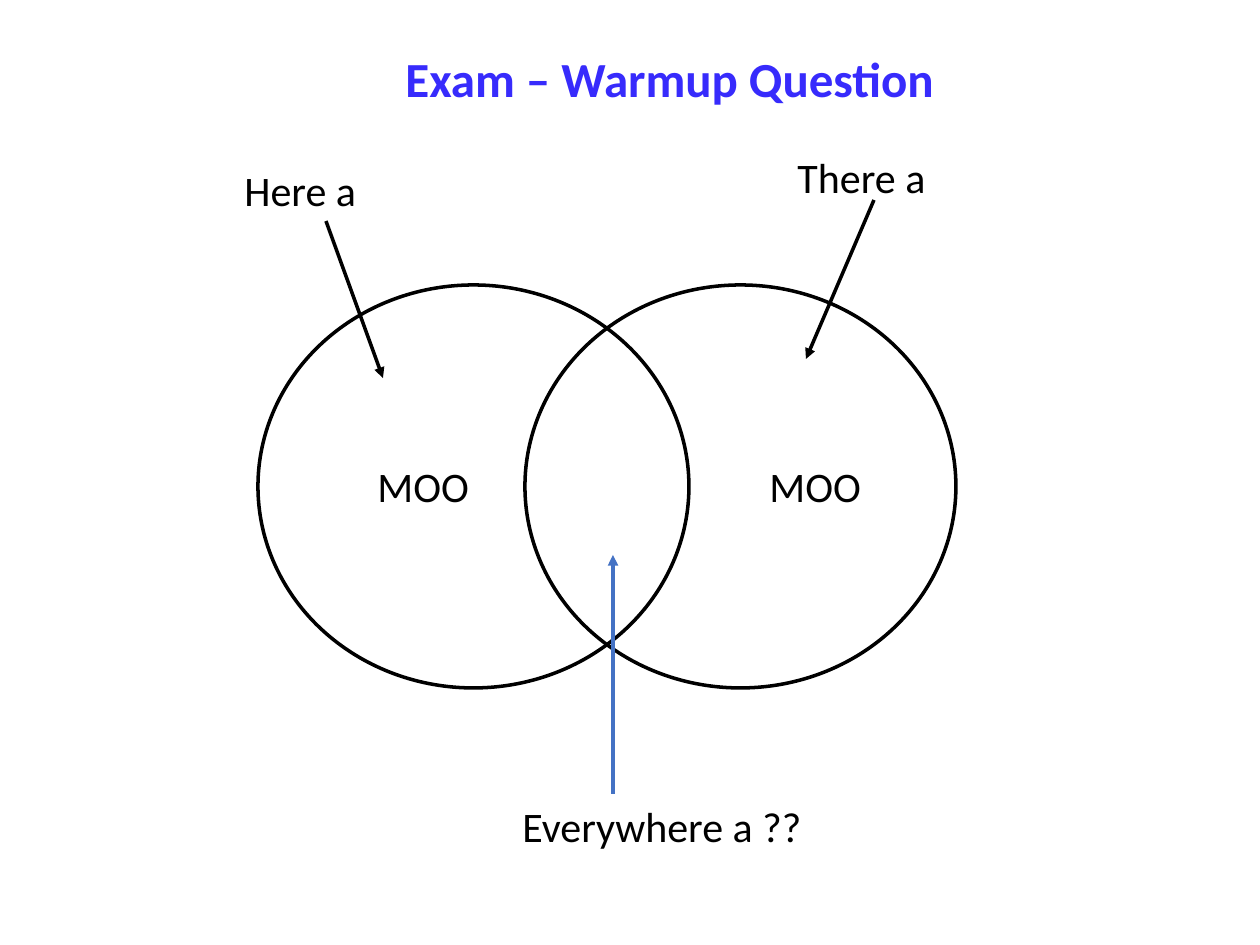
from lxml import etree
from pptx import Presentation
from pptx import util as u
from pptx.dml.color import RGBColor
from pptx.enum import shapes, text
from pptx.oxml.ns import qn

PX = 914400 / 126
BLACK = RGBColor(0x00, 0x00, 0x00)
VIOLET = RGBColor(0x37, 0x2B, 0xFC)
BLUE = RGBColor(0x44, 0x72, 0xC4)

SLIDE_SIZE = (1260, 945)
CIRCLE_LEFTS = (258, 525)
CIRCLE_TOP, CIRCLE_SIZE = 285, (431, 403)
HEADING = ("Exam – Warmup Question", (393, 42, 561, 72))
LABELS = [
    ("MOO", (365, 454, 117, 63)),
    ("MOO", (757, 454, 117, 63)),
    ("Here a", (232, 158, 147, 63)),
    ("There a", (785, 145, 155, 63)),
    ("Everywhere a ??", (510, 794, 307, 63)),
]
ARROWS = [
    ((613, 794), (613, 555), BLUE),
    ((326, 221), (383, 378), BLACK),
    ((874, 200), (806, 359), BLACK),
]


def px(*lengths):
    return [u.Emu(round(length * PX)) for length in lengths]


def add_label(slide, wording, box, size=24, color=BLACK, bold=False):
    label = slide.shapes.add_textbox(*px(*box))
    frame = label.text_frame
    frame.word_wrap = False
    frame.auto_size = text.MSO_AUTO_SIZE.SHAPE_TO_FIT_TEXT
    run = frame.paragraphs[0].add_run()
    run.text = wording
    run.font.name = "Calibri"
    run.font.size = u.Pt(size)
    run.font.bold = bold
    run.font.color.rgb = color


def set_line(line, color):
    line.color.rgb = color
    line.width = u.Pt(2)


def add_circle(slide, left):
    circle = slide.shapes.add_shape(
        shapes.MSO_SHAPE.OVAL, *px(left, CIRCLE_TOP, *CIRCLE_SIZE))
    circle.shadow.inherit = False
    circle.fill.background()
    set_line(circle.line, BLACK)


def add_arrow(slide, start, end, color):
    arrow = slide.shapes.add_connector(
        shapes.MSO_CONNECTOR.STRAIGHT, *px(*start, *end))
    set_line(arrow.line, color)
    properties = arrow._element.spPr
    etree.SubElement(properties.find(qn("a:ln")), qn("a:tailEnd"), type="triangle")
    etree.SubElement(properties, qn("a:effectLst"))


def main():
    deck = Presentation()
    deck.slide_width, deck.slide_height = px(*SLIDE_SIZE)
    slide = deck.slides.add_slide(deck.slide_layouts[6])
    for left in CIRCLE_LEFTS:
        add_circle(slide, left)
    add_label(slide, *HEADING, size=28, color=VIOLET, bold=True)
    for wording, box in LABELS:
        add_label(slide, wording, box)
    for start, end, color in ARROWS:
        add_arrow(slide, start, end, color)
    deck.save("out.pptx")


if __name__ == "__main__":
    main()
